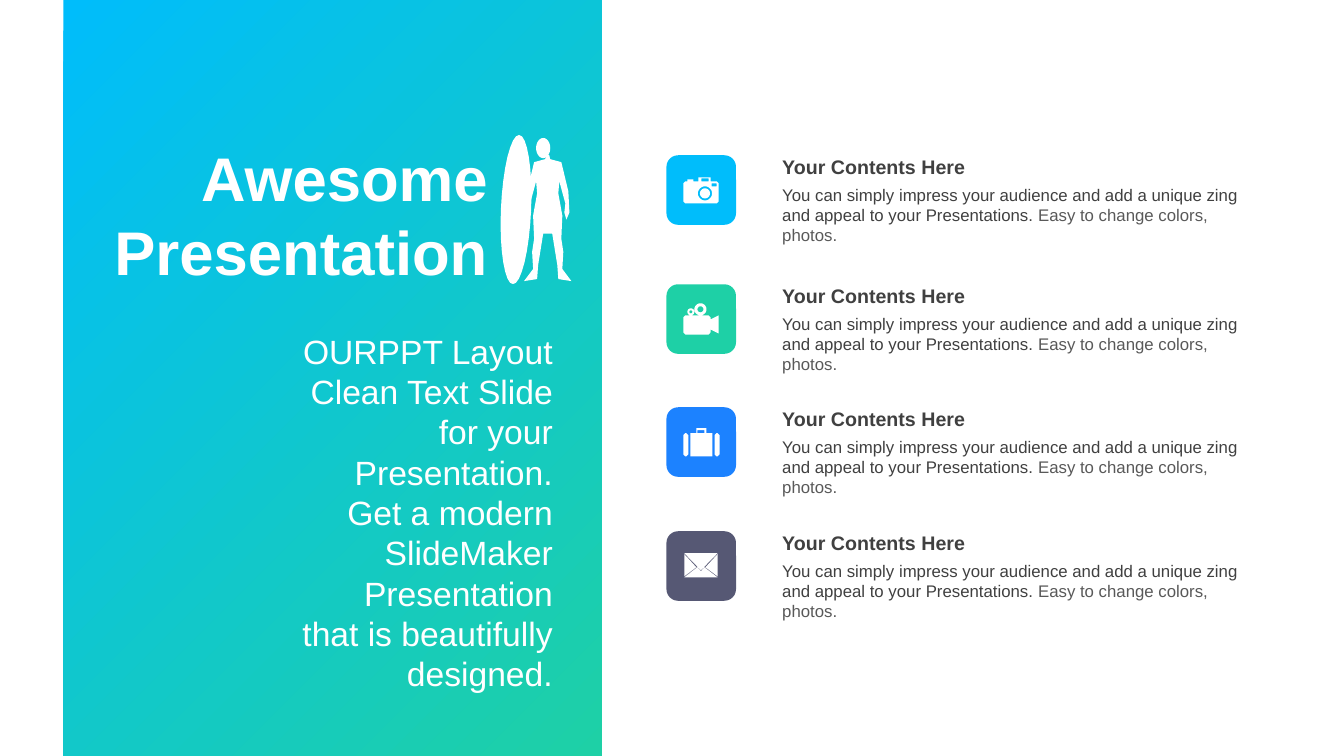
"""Build a slide with a gradient title panel and four icon rows."""
import dataclasses
import math

import pptx
import pptx.dml.color
import pptx.enum.shapes
import pptx.enum.text
import pptx.util

Inches = pptx.util.Inches
Pt = pptx.util.Pt
RGB = pptx.dml.color.RGBColor.from_string
ALIGN = pptx.enum.text.PP_ALIGN
ANCHOR = pptx.enum.text.MSO_ANCHOR
SHAPES = pptx.enum.shapes.MSO_SHAPE


@dataclasses.dataclass(frozen=True)
class Theme:
    """Colours, typeface and type sizes of the slide."""
    font: str = "Arial"
    white: str = "FFFFFF"
    sky: str = "00BDFB"
    mint: str = "1ED0A6"
    blue: str = "1C82FF"
    slate: str = "565874"
    dark: str = "404040"
    grey: str = "595959"
    title_size: int = 44
    lead_size: int = 24
    heading_size: int = 14
    body_size: int = 12


THEME = Theme()
HEADING = "Your Contents Here"
BODY = ("You can simply impress your audience and add a unique zing "
        "and appeal to your Presentations. ")
BODY_END = "Easy to change colors, photos."
LEAD = ("OURPPT Layout Clean Text Slide for your Presentation. Get a modern "
        "SlideMaker Presentation that is beautifully designed.")


def box(left, top, right, bottom, cut=0):
    """Return a rectangle outline, with corners cut where asked."""
    if not cut:
        return [(left, top), (right, top), (right, bottom), (left, bottom)]
    return [(left + cut, top), (right - cut, top), (right, top + cut), (right, bottom - cut),
            (right - cut, bottom), (left + cut, bottom), (left, bottom - cut), (left, top + cut)]


def ellipse(x, y, across, down, lean=0, steps=32):
    """Return an ellipse as a polygon, leaning sideways towards its top."""
    turns = [2 * math.pi * step / steps for step in range(steps)]
    return [(x + across * math.cos(turn) - lean * math.sin(turn), y + down * math.sin(turn))
            for turn in turns]


def mirrored(half, axis):
    """Close a right half outline with its reflection in a vertical axis."""
    return half + [(2 * axis - x, y) for x, y in reversed(half)]


CAMERA = [
    box(678, 180, 713, 202, 2), box(693, 176, 705, 180), box(696, 177, 703, 180),
    box(682, 178, 688, 180), box(706, 182, 711, 185),
    ellipse(699.5, 192, 7, 7), ellipse(699.5, 192, 5, 5),
]
CAMCORDER = [
    box(678, 313, 705, 332, 2), [(705, 317), (713, 313), (713, 331), (705, 327)],
    ellipse(695, 307, 6, 6), ellipse(695, 307, 3, 3),
    ellipse(685.5, 309.5, 3.5, 3.5), ellipse(685.5, 309.5, 1.5, 1.5),
]
SUITCASE = [
    box(678, 430, 683, 453, 2), box(685, 430, 707, 453), box(709, 430, 714, 453, 2),
    box(691, 425, 701, 430), box(692, 427, 699, 430),
]
ENVELOPE = [
    [(679, 549), (712, 549), (695.5, 566)],
    [(679, 550), (691, 563), (679, 572)],
    [(712, 550), (700, 563), (712, 572)],
    [(679, 573), (692, 563), (695.5, 567), (699, 563), (712, 573)],
]
SURFBOARD = ellipse(512, 208, 15, 74, 3)
HEAD = ellipse(539, 147, 7, 10)
SURFER = mirrored([
    (545, 154), (546, 158), (557, 161), (564, 190), (565, 211), (562, 218), (560, 211),
    (561, 202), (555, 180), (554, 192), (558, 214), (557, 237), (559, 250), (558, 267),
    (567, 279), (554, 277), (553, 263), (548, 232),
], 543.5)

ROWS = [
    (1.54, THEME.sky, CAMERA),
    (2.82, THEME.mint, CAMCORDER),
    (4.04, THEME.blue, SUITCASE),
    (5.27, THEME.slate, ENVELOPE),
]


def place(shape, left, top, width, height):
    """Set the position and size of a shape in inches."""
    shape.left, shape.top = Inches(left), Inches(top)
    shape.width, shape.height = Inches(width), Inches(height)


def paint(shape, color):
    """Give a shape a flat fill with no line or shadow."""
    shape.shadow.inherit = False
    shape.fill.solid()
    shape.fill.fore_color.rgb = RGB(color)
    shape.line.fill.background()


def write(shape, lines, size, color, bold=False, align=ALIGN.LEFT, anchor=ANCHOR.TOP):
    """Fill a shape with paragraphs of (text, colour) runs or plain text."""
    frame = shape.text_frame
    frame.word_wrap = True
    frame.auto_size = pptx.enum.text.MSO_AUTO_SIZE.SHAPE_TO_FIT_TEXT
    frame.vertical_anchor = anchor
    for index, line in enumerate(lines):
        paragraph = frame.add_paragraph() if index else frame.paragraphs[0]
        paragraph.alignment = align
        paragraph.font.name = THEME.font
        paragraph.font.size = Pt(size)
        paragraph.font.bold = bold
        paragraph.font.color.rgb = RGB(color)
        if isinstance(line, str):
            paragraph.add_run().text = line
            continue
        for text, run_color in line:
            run = paragraph.add_run()
            run.text = text
            run.font.color.rgb = RGB(run_color)


def add_text(slide, area, *content, **style):
    """Add a text box at the given area."""
    write(slide.shapes.add_textbox(*map(Inches, area)), *content, **style)


def add_outline(slide, contours, color):
    """Draw closed contours, given in hundredths of an inch, as one shape."""
    scaled = [[(x * 10, y * 10) for x, y in contour] for contour in contours]
    builder = slide.shapes.build_freeform(*scaled[0][0], scale=Inches(0.001))
    for index, contour in enumerate(scaled):
        if index:
            builder.move_to(*contour[0])
        builder.add_line_segments(contour[1:], close=True)
    paint(builder.convert_to_shape(), color)


def add_panel(slide):
    """Add the diagonal gradient panel."""
    panel = slide.shapes.add_shape(SHAPES.RECTANGLE, *map(Inches, (0.63, 0, 5.34, 7.5)))
    paint(panel, THEME.sky)
    panel.fill.gradient()
    panel.fill.gradient_angle = 315
    for stop, position, color in zip(panel.fill.gradient_stops, (0, 1), (THEME.sky, THEME.mint)):
        stop.position = position
        stop.color.rgb = RGB(color)


def add_title(slide):
    """Bring the title in front of the panel and fill it."""
    title = slide.shapes.title
    slide.shapes._spTree.append(title._element)
    place(title, 0.64, 1.33, 4.3, 1.58)
    write(title, ["Awesome", "Presentation"], THEME.title_size, THEME.white,
          bold=True, align=ALIGN.RIGHT, anchor=ANCHOR.MIDDLE)


def add_row(slide, top, color, icon):
    """Add an icon tile with its heading and body text."""
    tile = slide.shapes.add_shape(SHAPES.ROUNDED_RECTANGLE, *map(Inches, (6.61, top, 0.69, 0.69)))
    paint(tile, color)
    add_outline(slide, icon, THEME.white)
    add_text(slide, (7.66, top + 0.24, 5, 0.5), [[(BODY, THEME.dark), (BODY_END, THEME.grey)]],
             THEME.body_size, THEME.dark)
    add_text(slide, (7.66, top - 0.05, 5, 0.34), [HEADING],
             THEME.heading_size, THEME.dark, bold=True)


def main():
    """Build and save the slide."""
    deck = pptx.Presentation()
    deck.slide_width, deck.slide_height = Inches(13.33), Inches(7.5)
    slide = deck.slides.add_slide(deck.slide_layouts.get_by_name("Title Only"))
    add_panel(slide)
    add_title(slide)
    add_text(slide, (2.89, 3.21, 2.69, 3.74), [LEAD], THEME.lead_size, THEME.white,
             align=ALIGN.RIGHT, anchor=ANCHOR.MIDDLE)
    for row in ROWS:
        add_row(slide, *row)
    for part in (SURFBOARD, HEAD, SURFER):
        add_outline(slide, [part], THEME.white)
    deck.save("out.pptx")


if __name__ == "__main__":
    main()
